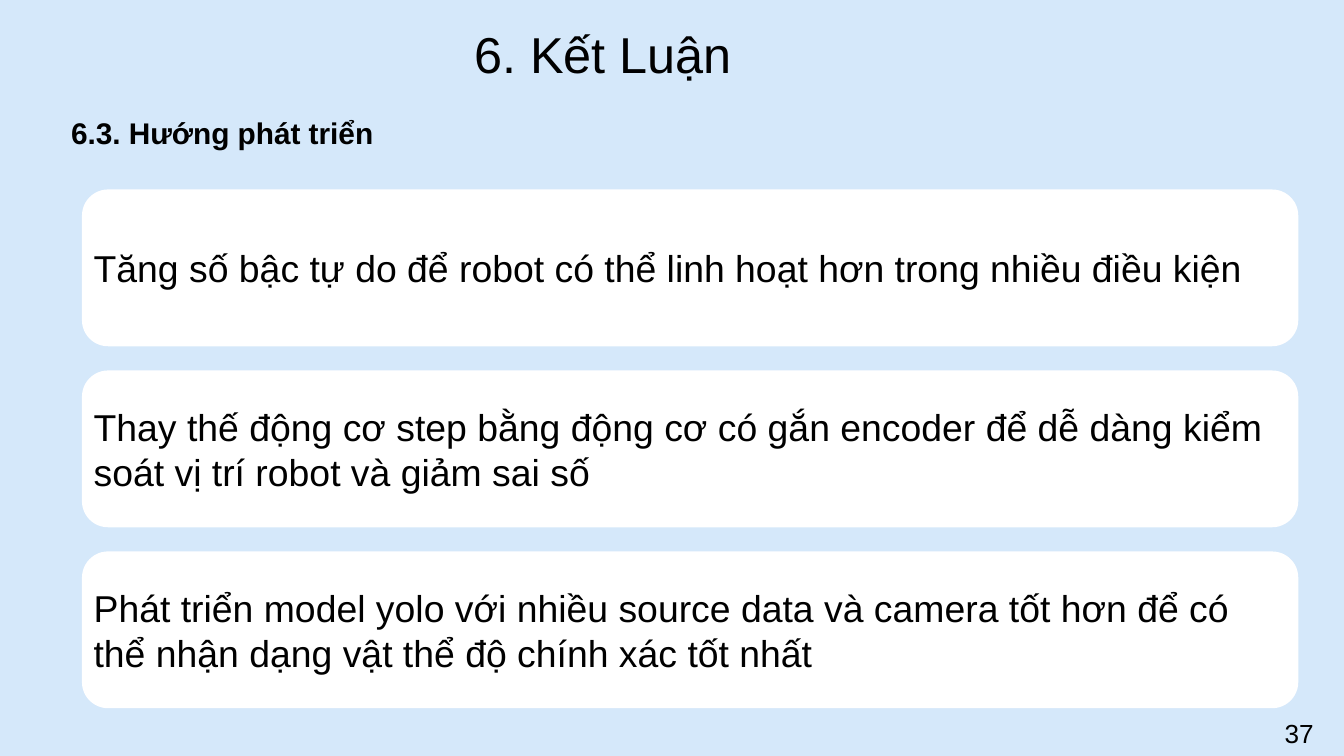
from dataclasses import dataclass

from pptx import Presentation
from pptx.dml.color import RGBColor
from pptx.enum.shapes import MSO_SHAPE as Shape
from pptx.enum.text import MSO_ANCHOR as Anchor, PP_ALIGN as Align
from pptx.util import Inches, Pt


@dataclass(frozen=True)
class Theme:
    font: str = "Arial"
    background: RGBColor = RGBColor(0xD5, 0xE8, 0xFA)
    card: RGBColor = RGBColor(0xFF, 0xFF, 0xFF)
    ink: RGBColor = RGBColor(0, 0, 0)
    title_size: int = 27
    heading_size: int = 16
    card_size: int = 20
    number_size: int = 14


THEME = Theme()
DIRECTIONS = [
    "Tăng số bậc tự do để robot có thể linh hoạt hơn trong nhiều điều kiện",
    "Thay thế động cơ step bằng động cơ có gắn encoder để dễ dàng kiểm soát "
    "vị trí robot và giảm sai số",
    "Phát triển model yolo với nhiều source data và camera tốt hơn để có thể "
    "nhận dạng vật thể độ chính xác tốt nhất",
]


def write(frame, text, size, bold=False, align=Align.LEFT, anchor=Anchor.TOP):
    frame.word_wrap = True
    frame.vertical_anchor = anchor
    paragraph = frame.paragraphs[0]
    paragraph.text = text
    paragraph.alignment = align
    font = paragraph.font
    font.name, font.size, font.bold = THEME.font, Pt(size), bold
    font.color.rgb = THEME.ink
    return paragraph


def add_label(slide, box, text, size, **style):
    label = slide.shapes.add_textbox(*map(Inches, box))
    return write(label.text_frame, text, size, **style)


def add_header(slide, box):
    left, top, width, height = box
    add_label(slide, (left + 3, top, 2.26, 0.48), "6. Kết Luận",
              THEME.title_size, anchor=Anchor.MIDDLE)
    heading_height = 0.45
    heading = add_label(
        slide, (left, top + height - heading_height, width, heading_height),
        "6.3. Hướng phát triển", THEME.heading_size, bold=True, align=Align.JUSTIFY)
    heading.line_spacing = 1.5


def add_directions(slide, box, gap=0.18):
    left, top, width, height = box
    card_height = (height - gap * (len(DIRECTIONS) - 1)) / len(DIRECTIONS)
    for index, direction in enumerate(DIRECTIONS):
        card_top = top + index * (card_height + gap)
        card = slide.shapes.add_shape(
            Shape.ROUNDED_RECTANGLE, Inches(left), Inches(card_top),
            Inches(width), Inches(card_height))
        card.shadow.inherit = False
        card.fill.solid()
        card.fill.fore_color.rgb = THEME.card
        card.line.fill.background()
        frame = card.text_frame
        # The rounded corners already indent the text a little
        frame.margin_left = frame.margin_right = Inches(0.03)
        frame.margin_top = frame.margin_bottom = Inches(0.03)
        write(frame, direction, THEME.card_size, anchor=Anchor.MIDDLE)


def main():
    prs = Presentation()
    # Widescreen, 16:9
    prs.slide_width = Inches(10)
    prs.slide_height = prs.slide_width * 9 // 16
    slide = prs.slides.add_slide(prs.slide_layouts[6])
    slide.background.fill.solid()
    slide.background.fill.fore_color.rgb = THEME.background

    # Future directions, one card each
    add_directions(slide, (0.61, 1.41, 9.05, 3.86))
    # Title and section heading
    add_header(slide, (0.43, 0.16, 3.75, 0.96))
    # Page number
    add_label(slide, (9.46, 5.29, 0.44, 0.34), "37", THEME.number_size)

    prs.save("out.pptx")


if __name__ == "__main__":
    main()
